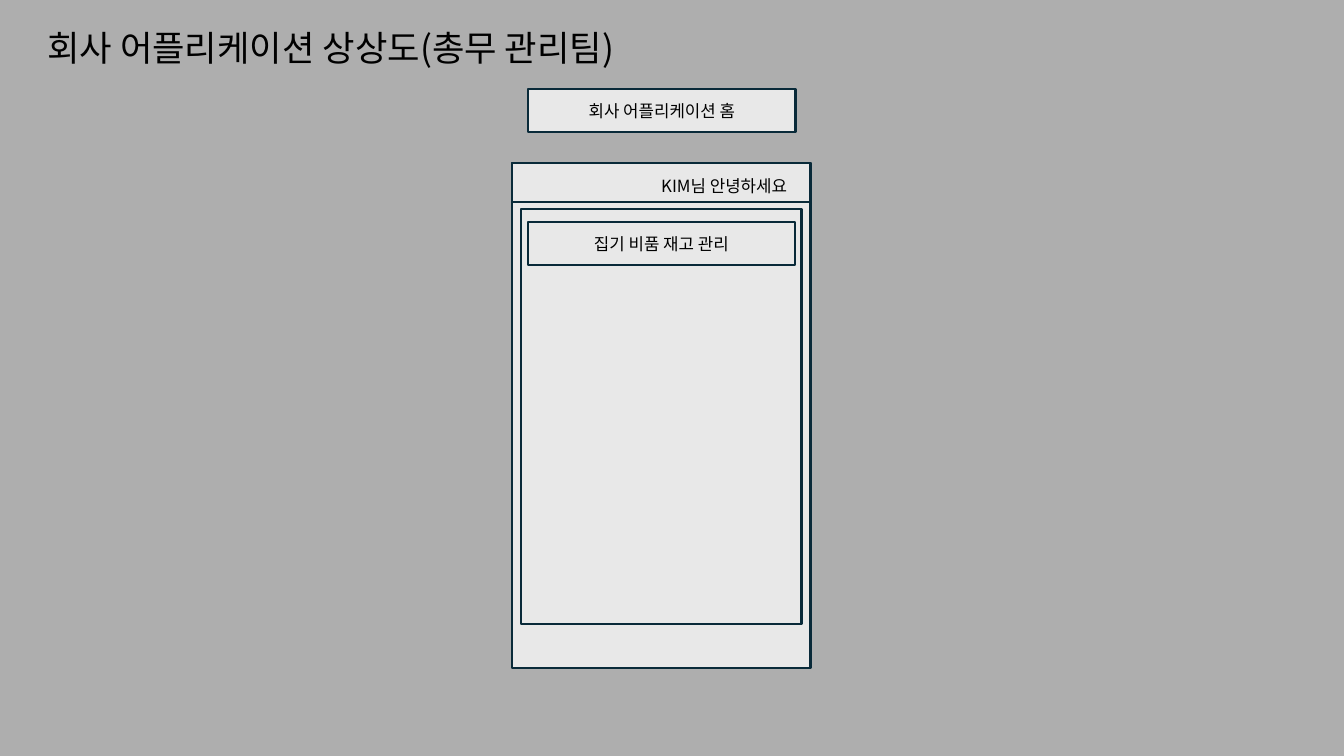
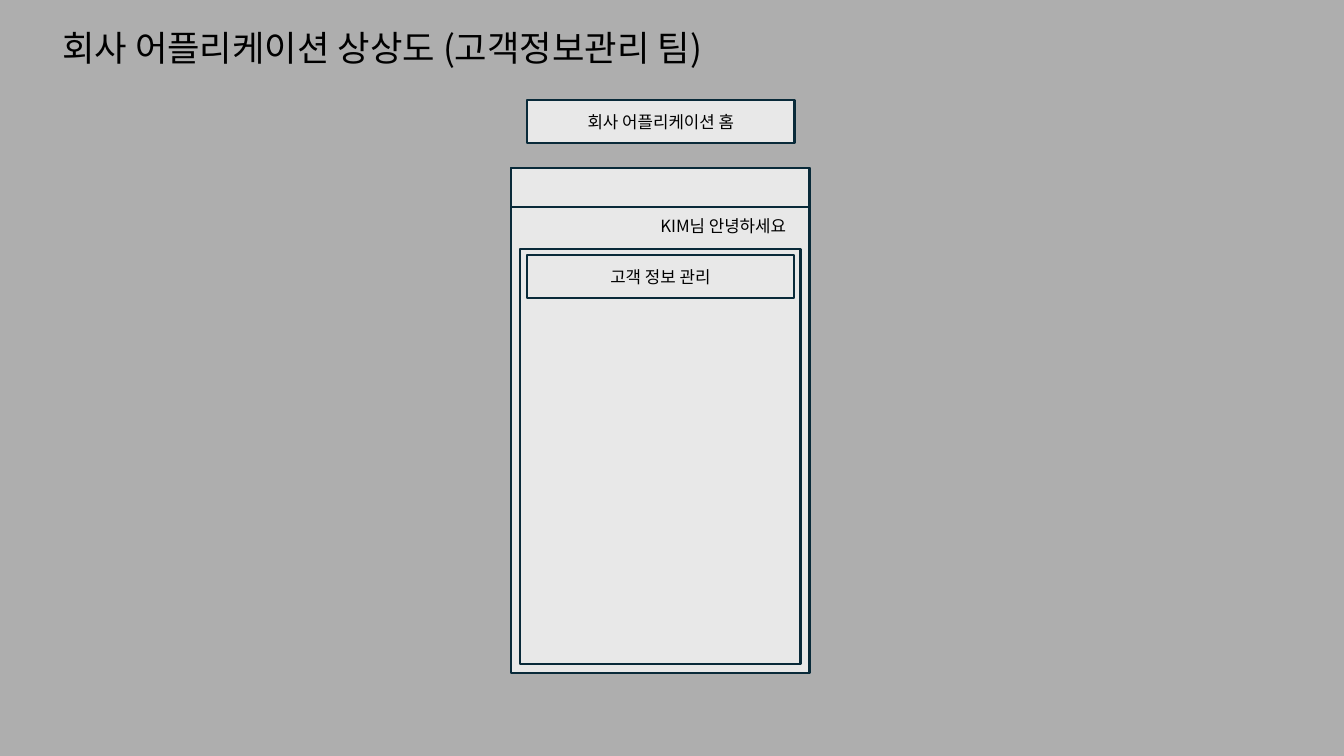
from pptx import Presentation
from pptx.dml.color import RGBColor
from pptx.enum.shapes import MSO_SHAPE as SHAPE
from pptx.enum.text import MSO_ANCHOR as ANCHOR, PP_ALIGN as ALIGN
from pptx.oxml.ns import qn
from pptx.util import Inches, Pt
from lxml.etree import SubElement

BACKGROUND = RGBColor(0xAE, 0xAE, 0xAE)
PANEL = RGBColor(0xE8, 0xE8, 0xE8)
OUTLINE = RGBColor(0x09, 0x2A, 0x39)
INK = RGBColor(0, 0, 0)
FONT = "Noto Sans CJK KR"

BUTTON_W, BUTTON_H = 2.65, 0.43
PHONE_W, PHONE_H, BAR_H = 2.96, 5.01, 0.38
SCREEN_W, SCREEN_H = 2.78, 4.12


def write(sp, text, size, align, anchor):
    """Set the text of a shape in the shared style."""
    tf = sp.text_frame
    tf.word_wrap = True
    tf.vertical_anchor = anchor
    p = tf.paragraphs[0]
    p.text = text
    p.alignment = align
    p.font.size = Pt(size)
    p.font.name = FONT
    p.font.color.rgb = INK
    SubElement(p._p.pPr.find(qn("a:defRPr")), qn("a:ea"), typeface=FONT)
    return p


def add_text(s, text, x, y, w, h, size=12, align=ALIGN.LEFT, anchor=ANCHOR.TOP):
    """Add a text box and return its paragraph."""
    sp = s.shapes.add_textbox(Inches(x), Inches(y), Inches(w), Inches(h))
    return write(sp, text, size, align, anchor)


def add_box(s, x, y, w, h):
    """Add an outlined rectangle."""
    sp = s.shapes.add_shape(SHAPE.RECTANGLE, Inches(x), Inches(y), Inches(w), Inches(h))
    sp.shadow.inherit = False
    sp.fill.solid()
    sp.fill.fore_color.rgb = PANEL
    sp.line.color.rgb = OUTLINE
    sp.line.width = Pt(1.5)
    return sp


def add_button(s, text, x, y):
    """Add a labelled button."""
    write(add_box(s, x, y, BUTTON_W, BUTTON_H), text, 12, ALIGN.CENTER, ANCHOR.MIDDLE)


def add_title(s, text, width):
    """Add the slide title."""
    p = add_text(s, text, 0.14, 0.13, width, 0.61, 25.2, ALIGN.CENTER, ANCHOR.BOTTOM)
    p.line_spacing = 0.9


def add_phone(s, x, y, menu, screen_dy, menu_dy):
    """Add the phone mock-up with its top bar, screen, greeting and menu."""
    add_box(s, x, y, PHONE_W, PHONE_H)
    add_box(s, x, y, PHONE_W, BAR_H)
    screen_x, screen_y = x + (PHONE_W - SCREEN_W) / 2, y + screen_dy
    add_box(s, screen_x, screen_y, SCREEN_W, SCREEN_H)
    add_text(s, "KIM님 안녕하세요", screen_x + 1.29, screen_y - 0.38, 1.61, 0.3)
    add_button(s, menu, screen_x + (SCREEN_W - BUTTON_W) / 2, screen_y + menu_dy)


def add_app_slide(prs, title, title_w, home, phone, menu, screen_dy, menu_dy):
    """Add one application concept slide."""
    s = prs.slides.add_slide(prs.slide_layouts[6])
    s.background.fill.solid()
    s.background.fill.fore_color.rgb = BACKGROUND
    add_title(s, title, title_w)
    add_button(s, "회사 어플리케이션 홈", *home)
    add_phone(s, *phone, menu, screen_dy, menu_dy)


def main():
    """Build and save the presentation."""
    prs = Presentation()
    prs.slide_width, prs.slide_height = Inches(13.33), Inches(7.5)
    add_app_slide(prs, "회사 어플리케이션 상상도(총무 관리팀)", 6.28,
                  (5.24, 0.88), (5.08, 1.62), "집기 비품 재고 관리", 0.45, 0.13)
    add_app_slide(prs, "회사 어플리케이션 상상도 (고객정보관리 팀)", 7.3,
                  (5.23, 0.99), (5.07, 1.67), "고객 정보 관리", 0.8, 0.06)
    prs.save("out.pptx")


if __name__ == "__main__":
    main()
